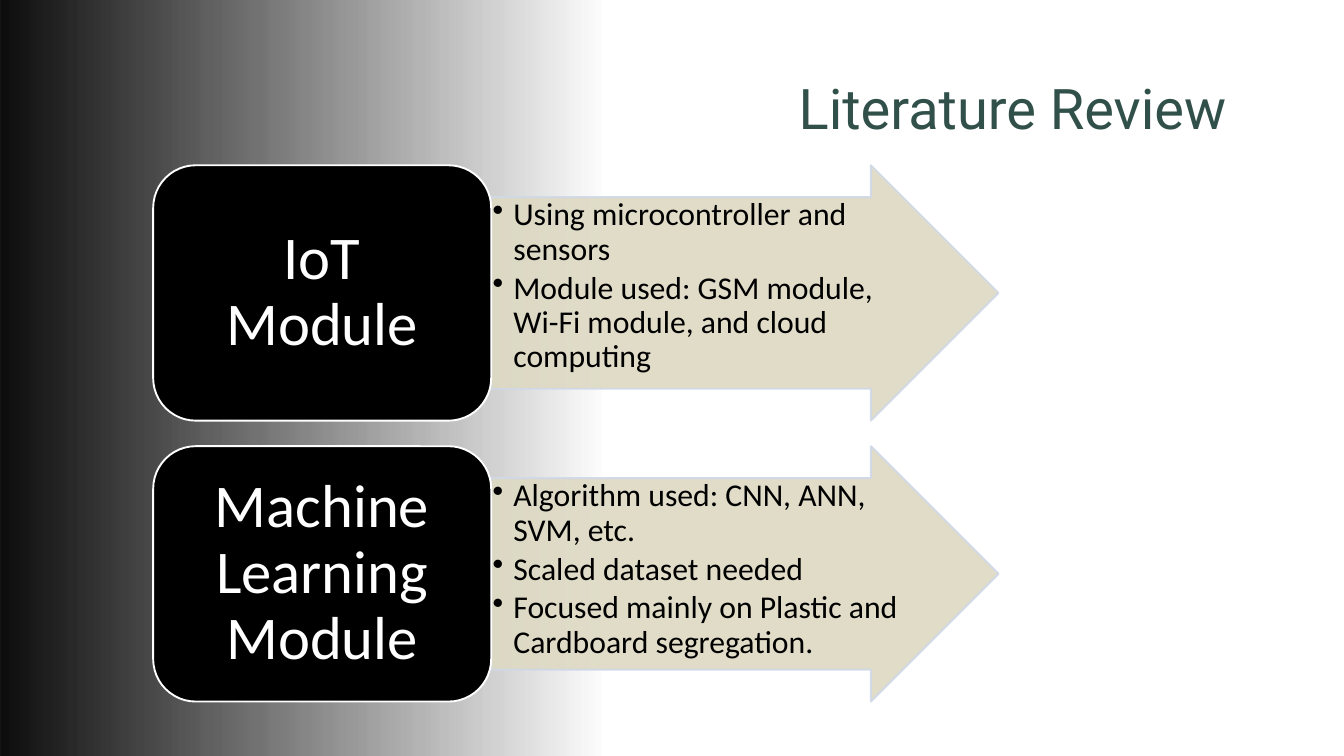
from lxml import etree
from pptx import Presentation, util as u
from pptx.dml.color import RGBColor
from pptx.enum import shapes, text
from pptx.oxml.ns import qn

PX = 9144  # 100 px to the inch


def rgb(value):
    return RGBColor.from_string(value)


def set_alpha(colour, percent):
    etree.SubElement(colour, qn("a:alpha"), val=str(percent * 1000))


prs = Presentation()
prs.slide_width, prs.slide_height = 2000 * PX, 1125 * PX
slide = prs.slides.add_slide(prs.slide_layouts[5])

# Dark fade on the left
fade = slide.shapes.add_shape(
    shapes.MSO_SHAPE.RECTANGLE, 0, 0, prs.slide_width, prs.slide_height)
fade.shadow.inherit = False
fade.line.fill.background()
fade.fill.gradient()
fade.fill.gradient_angle = 0
for stop, position in zip(fade.fill.gradient_stops, (0, 0.45)):
    stop.color.rgb = rgb("0D0D0D")
    stop.position = position
set_alpha(list(fade._element.spPr.iter(qn("a:srgbClr")))[-1], 0)

# Title, brought in front of the fade
title = slide.shapes.title
slide.shapes._spTree.append(title._element)
title.left, title.top, title.width, title.height = (
    n * PX for n in (1075, 76, 750, 121))
frame = title.text_frame
frame.text = "Literature Review"
frame_format = dict(margin_left=0, margin_top=0, margin_right=0, margin_bottom=0,
                    word_wrap=True, auto_size=text.MSO_AUTO_SIZE.NONE,
                    vertical_anchor=text.MSO_ANCHOR.TOP)
for name, value in frame_format.items():
    setattr(frame, name, value)
heading = frame.paragraphs[0]
heading.alignment = text.PP_ALIGN.RIGHT
heading.line_spacing = u.Pt(96)
heading.font.name, heading.font.size = "Roboto", u.Pt(60)
heading.font.color.rgb = rgb("305049")

# One row per module: arrow with its points, then the name box
modules = [
    ("IoT Module", [
        "Using microcontroller and sensors",
        "Module used: GSM module, Wi-Fi module, and cloud computing"]),
    ("Machine Learning Module", [
        "Algorithm used: CNN, ANN, SVM, etc.",
        "Scaled dataset needed",
        "Focused mainly on Plastic and Cardboard segregation."]),
]
parts = [
    dict(preset=shapes.MSO_SHAPE.RIGHT_ARROW, left=731, width=755,
         fill="DDD9C3", line="D0D8E8", alpha=90, ink="000000", size=34,
         margins=(2, 2), anchor=text.MSO_ANCHOR.TOP,
         align=text.PP_ALIGN.LEFT, bullet=True),
    dict(preset=shapes.MSO_SHAPE.ROUNDED_RECTANGLE, left=228, width=503,
         fill="000000", line="FFFFFF", alpha=100, ink="FFFFFF", size=65,
         margins=(27, 14), anchor=text.MSO_ANCHOR.MIDDLE,
         align=text.PP_ALIGN.CENTER, bullet=False),
]
TOP, HEIGHT, PITCH = 246, 380, 418

for row, (module, points) in enumerate(modules):
    for part, lines in zip(parts, (points, [module])):
        shape = slide.shapes.add_shape(
            part["preset"], part["left"] * PX, (TOP + row * PITCH) * PX,
            part["width"] * PX, HEIGHT * PX)
        shape.shadow.inherit = False
        if part["bullet"]:
            shape.adjustments[0], shape.adjustments[1] = 0.75, 0.5
        shape.fill.solid()
        shape.fill.fore_color.rgb = rgb(part["fill"])
        shape.line.color.rgb = rgb(part["line"])
        shape.line.width = u.Pt(2)
        if part["alpha"] < 100:
            for colour in shape._element.spPr.iter(qn("a:srgbClr")):
                set_alpha(colour, part["alpha"])

        frame = shape.text_frame
        side, end = (n * PX for n in part["margins"])
        frame_format = dict(margin_left=side, margin_right=side, margin_top=end,
                            margin_bottom=end, word_wrap=True,
                            vertical_anchor=part["anchor"])
        for name, value in frame_format.items():
            setattr(frame, name, value)
        for i, line in enumerate(lines):
            para = frame.add_paragraph() if i else frame.paragraphs[0]
            para.text = line
            para.alignment = part["align"]
            para.line_spacing = 0.9
            if part["bullet"]:
                para.space_after = u.Pt(5)
                props = para._p.get_or_add_pPr()
                props.set("marL", str(31 * PX))
                props.set("indent", str(-31 * PX))
                etree.SubElement(props, qn("a:buChar"), char="•")
            para.font.name, para.font.size = "Calibri", u.Pt(part["size"])
            para.font.color.rgb = rgb(part["ink"])

prs.save("out.pptx")
